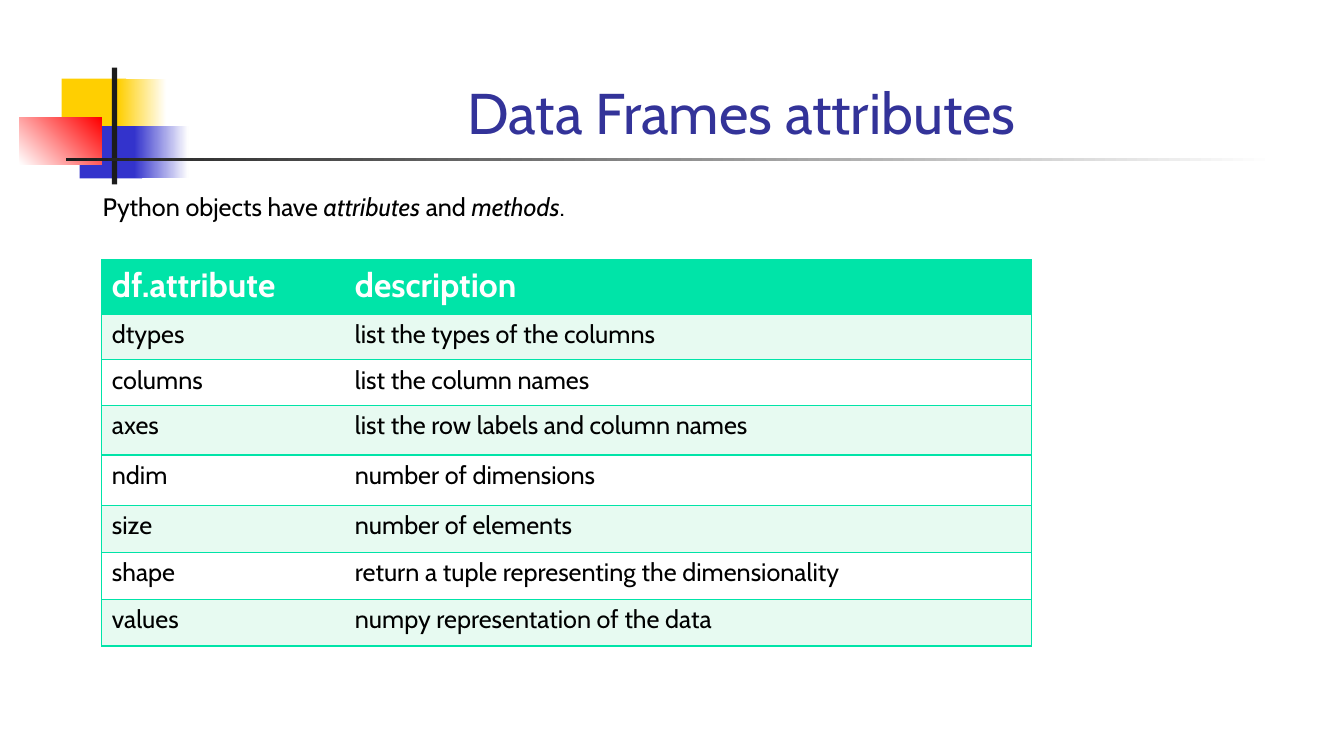
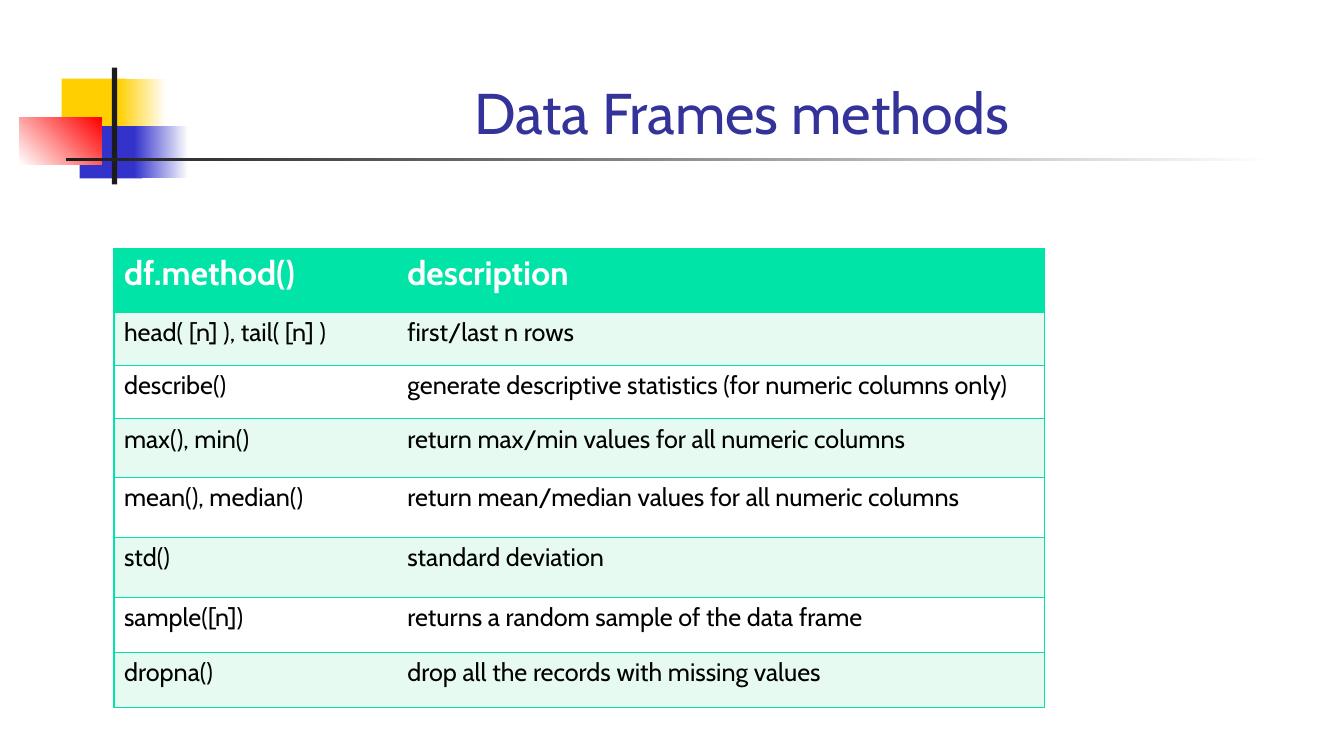
from lxml.etree import SubElement
from pptx import Presentation
from pptx.dml.color import RGBColor
from pptx.enum.shapes import MSO_SHAPE as SHAPE
from pptx.enum.text import MSO_ANCHOR as ANCHOR, PP_ALIGN as ALIGN
from pptx.oxml.ns import qn
from pptx.util import Inches, Pt

FONT = "Cabin"
WHITE, BLACK, INK = "FFFFFF", "000000", "1C1C1C"
YELLOW, BLUE, RED, NAVY = "FFCF01", "3333CC", "FF0000", "333399"
GREEN, MINT = "00E4A8", "E7FAF1"
WIDTH, HEIGHT = Inches(13.333), Inches(7.5)

# Places and sizes are percentages of the slide: left, top, width, height.
TITLE_BOX = (12.6, 3.33, 85.2, 16.67)
EMBLEM = [
    ((4.58, 10.4, 4.8, 6.93), [YELLOW], 0),
    ((8.78, 10.4, 3.6, 6.93), [YELLOW, WHITE], 0),
    ((5.93, 16.67, 4.65, 6.93), [BLUE], 0),
    ((9.98, 16.67, 4.05, 6.93), [BLUE, WHITE], 0),
    ((1.43, 15.6, 6.15, 6.13), [WHITE, RED], 45),
    ((8.33, 8.93, 0.38, 15.47), [INK], 0),
    ((4.88, 20.93, 90, 0.4), [INK, WHITE], 0),
]

ATTRIBUTES = [
    ("df.attribute", "description"),
    ("dtypes", "list the types of the columns"),
    ("columns", "list the column names"),
    ("axes", "list the row labels and column names"),
    ("ndim", "number of dimensions"),
    ("size", "number of elements"),
    ("shape", "return a tuple representing the dimensionality"),
    ("values", "numpy representation of the data"),
]
METHODS = [
    ("df.method()", "description"),
    ("head( [n] ), tail( [n] )", "first/last n rows"),
    ("describe()", "generate descriptive statistics (for numeric columns only)"),
    ("max(), min()", "return max/min values for all numeric columns"),
    ("mean(), median()", "return mean/median values for all numeric columns"),
    ("std()", "standard deviation"),
    ("sample([n])", "returns a random sample of the data frame"),
    ("dropna()", "drop all the records with missing values"),
]


def rgb(color):
    """Turn a hex string into a colour."""
    return RGBColor.from_string(color)


def across(share):
    """Length of a percentage of the slide width."""
    return int(WIDTH * share / 100)


def down(share):
    """Length of a percentage of the slide height."""
    return int(HEIGHT * share / 100)


def place(box):
    """Turn a box in percentages into slide lengths."""
    x, y, w, h = box
    return across(x), down(y), across(w), down(h)


def add_run(p, text, size, color, bold=False, italic=False):
    """Add one styled run to a paragraph."""
    r = p.add_run()
    r.text = text
    font = r.font
    font.name, font.size = FONT, Pt(size)
    font.bold, font.italic = bold, italic
    font.color.rgb = rgb(color)


def add_text(s, box, runs, size, color, align=ALIGN.LEFT, anchor=ANCHOR.TOP):
    """Add a one-paragraph text box from (text, italic) runs."""
    tf = s.shapes.add_textbox(*place(box)).text_frame
    tf.word_wrap = True
    tf.vertical_anchor = anchor
    p = tf.paragraphs[0]
    p.alignment = align
    for text, italic in runs:
        add_run(p, text, size, color, italic=italic)


def add_block(s, box, colors, angle):
    """Add a rectangle filled with one colour or a two-colour gradient."""
    sp = s.shapes.add_shape(SHAPE.RECTANGLE, *place(box))
    sp.shadow.inherit = False
    sp.line.fill.background()
    if len(colors) == 1:
        sp.fill.solid()
        sp.fill.fore_color.rgb = rgb(colors[0])
        return
    sp.fill.gradient()
    sp.fill.gradient_angle = angle
    for stop, color in zip(sp.fill.gradient_stops, colors):
        stop.color.rgb = rgb(color)


def set_borders(cell, sides):
    """Draw green borders on the named sides and clear the others."""
    props = cell._tc.get_or_add_tcPr()
    for side in "LRTB":
        ln = SubElement(props, qn(f"a:ln{side}"), w=str(Pt(1)))
        if side in sides:
            fill = SubElement(ln, qn("a:solidFill"))
            SubElement(fill, qn("a:srgbClr"), val=GREEN)
        else:
            SubElement(ln, qn("a:noFill"))


def fill_cell(cell, text, row, sides):
    """Style one cell as part of the header or of a banded row."""
    set_borders(cell, sides)
    header = row == 0
    cell.fill.solid()
    cell.fill.fore_color.rgb = rgb(GREEN if header else MINT if row % 2 else WHITE)
    size, color = (24, WHITE) if header else (18, BLACK)
    add_run(cell.text_frame.paragraphs[0], text, size, color, bold=header)


def add_listing(s, left, top, widths, heights, rows):
    """Add a two-column table of names and descriptions."""
    box = (left, top, sum(widths), sum(heights))
    table = s.shapes.add_table(len(rows), len(widths), *place(box)).table
    for column, width in zip(table.columns, widths):
        column.width = across(width)
    for i, (height, texts) in enumerate(zip(heights, rows)):
        table.rows[i].height = down(height)
        for j, (text, sides) in enumerate(zip(texts, ("LTB", "RTB"))):
            fill_cell(table.cell(i, j), text, i, sides)


def add_slide(prs, title):
    """Add a slide with the shared emblem and title."""
    s = prs.slides.add_slide(prs.slide_layouts[6])
    for block in EMBLEM:
        add_block(s, *block)
    add_text(s, TITLE_BOX, [(title, False)], 41, NAVY, ALIGN.CENTER, ANCHOR.BOTTOM)
    return s


def main():
    """Build both slides and save the presentation."""
    prs = Presentation()
    prs.slide_width, prs.slide_height = WIDTH, HEIGHT

    s = add_slide(prs, "Data Frames attributes")
    intro = [("Python objects have ", False), ("attributes", True),
             (" and ", False), ("methods", True), (".", False)]
    add_text(s, (6.9, 24.67, 61.43, 5.33), intro, 18, BLACK)
    add_listing(s, 7.58, 34.4, (18.08, 51.08),
                (7.2, 6, 6, 6.6, 6.67, 6.2, 6.2, 6.2), ATTRIBUTES)

    s = add_slide(prs, "Data Frames methods")
    add_listing(s, 8.48, 32.87, (21.08, 48.15),
                (8.4, 7.07, 7.07, 7.73, 7.93, 7.93, 7.33, 7.33), METHODS)

    prs.save("out.pptx")


main()
